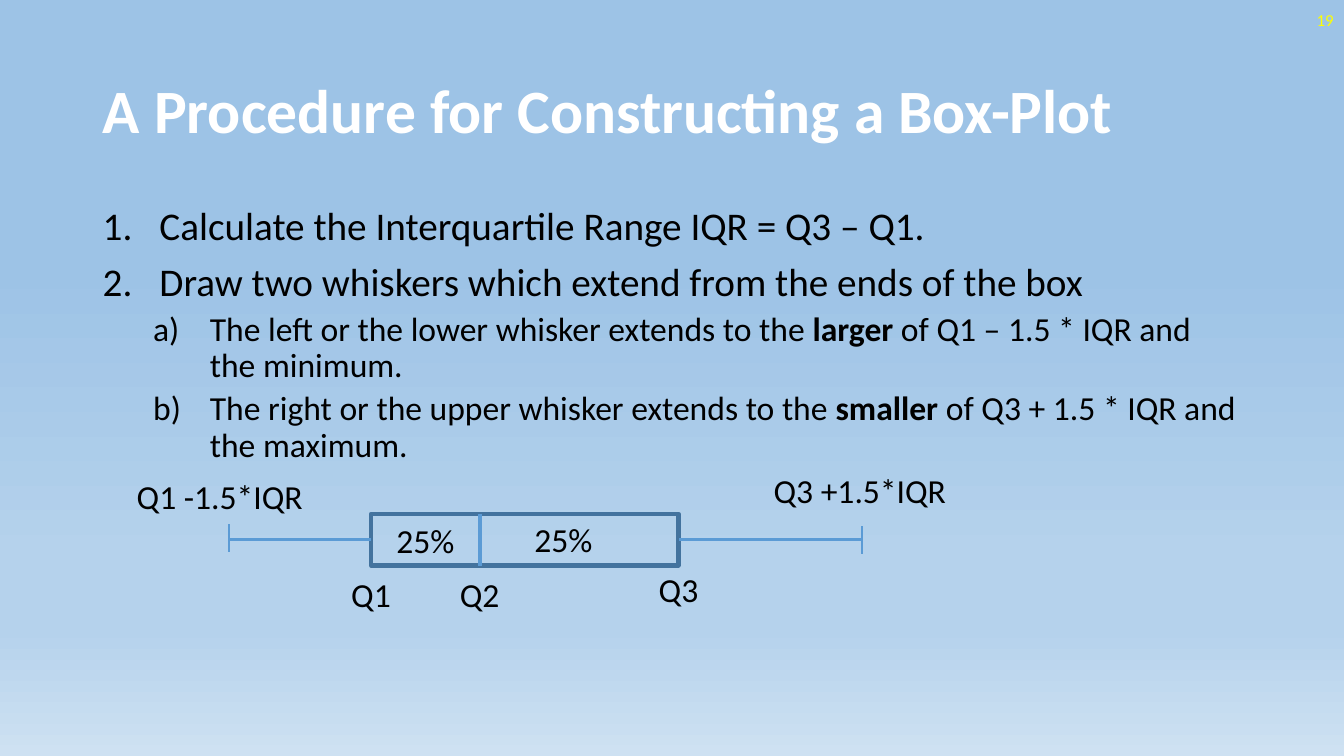
from copy import deepcopy

from lxml.etree import SubElement
from pptx import Presentation
from pptx.dml.color import RGBColor
from pptx.enum.shapes import MSO_CONNECTOR, MSO_SHAPE
from pptx.enum.text import MSO_ANCHOR, PP_ALIGN
from pptx.oxml.ns import qn
from pptx.util import Cm, Pt

WHITE = RGBColor(0xFF, 0xFF, 0xFF)
BLACK = RGBColor(0x00, 0x00, 0x00)
YELLOW = RGBColor(0xFF, 0xFF, 0x00)
BLUE = RGBColor(0x5B, 0x9B, 0xD5)
DARK_BLUE = RGBColor(0x43, 0x73, 0x9E)
BACKGROUND_STOPS = [
    (0.35, RGBColor(0x9D, 0xC3, 0xE6)),
    (0.74, RGBColor(0xB5, 0xD2, 0xEC)),
    (0.83, RGBColor(0xB5, 0xD2, 0xEC)),
    (1.0, RGBColor(0xCE, 0xE1, 0xF2)),
]


def add_run(paragraph, text, size, color=BLACK, bold=False):
    run = paragraph.add_run()
    run.text = text
    run.font.color.rgb = color
    for name, value in {"name": "Calibri", "size": Pt(size), "bold": bold}.items():
        setattr(run.font, name, value)


def add_line(x1, y1, x2, y2, width):
    line = slide.shapes.add_connector(
        MSO_CONNECTOR.STRAIGHT, Cm(x1), Cm(y1), Cm(x2), Cm(y2))
    line.line.color.rgb = BLUE
    line.line.width = Pt(width)
    SubElement(line.element.spPr, qn("a:effectLst"))
    return line


presentation = Presentation()
presentation.slide_width = Cm(33.87)
presentation.slide_height = Cm(19.05)
slide = presentation.slides.add_slide(presentation.slide_layouts[5])

# Background gradient, top to bottom
fill = slide.background.fill
fill.gradient()
fill.gradient_angle = 270
stop_list = slide.element.find(".//" + qn("a:gsLst"))
while len(stop_list) < len(BACKGROUND_STOPS):
    stop_list.append(deepcopy(stop_list[0]))
for stop, (position, color) in zip(fill.gradient_stops, BACKGROUND_STOPS):
    stop.position = position
    stop.color.rgb = color

# Title
title = slide.shapes.title
for name, value in {"left": 2.34, "top": 1.02, "width": 29.21, "height": 3.68}.items():
    setattr(title, name, Cm(value))
title.text_frame.vertical_anchor = MSO_ANCHOR.MIDDLE
paragraph = title.text_frame.paragraphs[0]
paragraph.alignment = PP_ALIGN.LEFT
paragraph.line_spacing = 0.9
add_run(paragraph, "A Procedure for Constructing a Box-Plot", 44, WHITE, True)

# Numbered steps: level and runs, where every second run is bold
steps = [
    (0, ["Calculate the Interquartile Range IQR = Q3 – Q1."]),
    (0, ["Draw two whiskers which extend from the ends of the box"]),
    (1, ["The left or the lower whisker extends to the ", "larger",
         " of Q1 – 1.5 * IQR and the minimum."]),
    (1, ["The right or the upper whisker extends to the ", "smaller",
         " of Q3 + 1.5 * IQR and the maximum."]),
]
# Per level: text size, space before, left indent in cm, numbering
levels = [(28, 10, 1.43, "arabicPeriod"), (24, 5, 2.7, "alphaLcParenR")]
body = slide.shapes.add_textbox(Cm(2.34), Cm(5.08), Cm(29.21), Cm(12.09))
body.text_frame.word_wrap = True
for index, (level, texts) in enumerate(steps):
    size, space, indent, numbering = levels[level]
    frame = body.text_frame
    paragraph = frame.add_paragraph() if index else frame.paragraphs[0]
    for name, value in {"level": level, "line_spacing": 0.9,
                        "space_before": Pt(space)}.items():
        setattr(paragraph, name, value)
    properties = paragraph._p.get_or_add_pPr()
    properties.set("marL", str(Cm(indent)))
    properties.set("indent", str(-Cm(1.43)))
    SubElement(properties, qn("a:buFont"), typeface="+mj-lt")
    SubElement(properties, qn("a:buAutoNum"), type=numbering)
    for position, text in enumerate(texts):
        add_run(paragraph, text, size, bold=position % 2 == 1)

# Slide number
number = slide.shapes.add_textbox(Cm(26.24), Cm(0), Cm(7.62), Cm(1.02))
number.text_frame.word_wrap = True
number.text_frame.vertical_anchor = MSO_ANCHOR.MIDDLE
paragraph = number.text_frame.paragraphs[0]
paragraph.alignment = PP_ALIGN.RIGHT
add_run(paragraph, "19", 12, YELLOW)

# Box with median
q1, q2, q3 = 9.35, 12.09, 17.1
box_top, box_height = 12.95, 1.3
middle = box_top + box_height / 2
box = slide.shapes.add_shape(
    MSO_SHAPE.RECTANGLE, Cm(q1), Cm(box_top), Cm(q3 - q1), Cm(box_height))
box.shadow.inherit = False
box.fill.background()
box.line.color.rgb = DARK_BLUE
box.line.width = Pt(3)
add_line(q2, box_top, q2, box_top + box_height, 3)

# Whiskers: outer end, box end, connection site, top of the cap
for outer, inner, site, cap_top in [(5.77, q1, 1, 13.21), (21.72, q3, 3, 13.26)]:
    whisker = add_line(outer, middle, inner, middle, 2.25)
    whisker.end_connect(box, site)
    add_line(outer, cap_top, outer, cap_top + 0.71, 1.5)

# Labels: text, centre, top, width
labels = [
    ("Q1", q1, 14.33, 1.7),
    ("Q2", q2, 14.33, 1.7),
    ("Q3", q3, 14.22, 1.7),
    ("25%", (q1 + q2) / 2, 12.97, 2.29),
    ("25%", 14.2, 12.95, 2.29),
    ("Q1 -1.5*IQR", 5.54, 11.86, 5.33),
    ("Q3 +1.5*IQR", 21.67, 11.71, 5.33),
]
for text, centre, top, width in labels:
    label = slide.shapes.add_textbox(
        Cm(centre - width / 2), Cm(top), Cm(width), Cm(1.28))
    label.text_frame.word_wrap = True
    paragraph = label.text_frame.paragraphs[0]
    paragraph.alignment = PP_ALIGN.CENTER
    add_run(paragraph, text, 24)

presentation.save("out.pptx")
